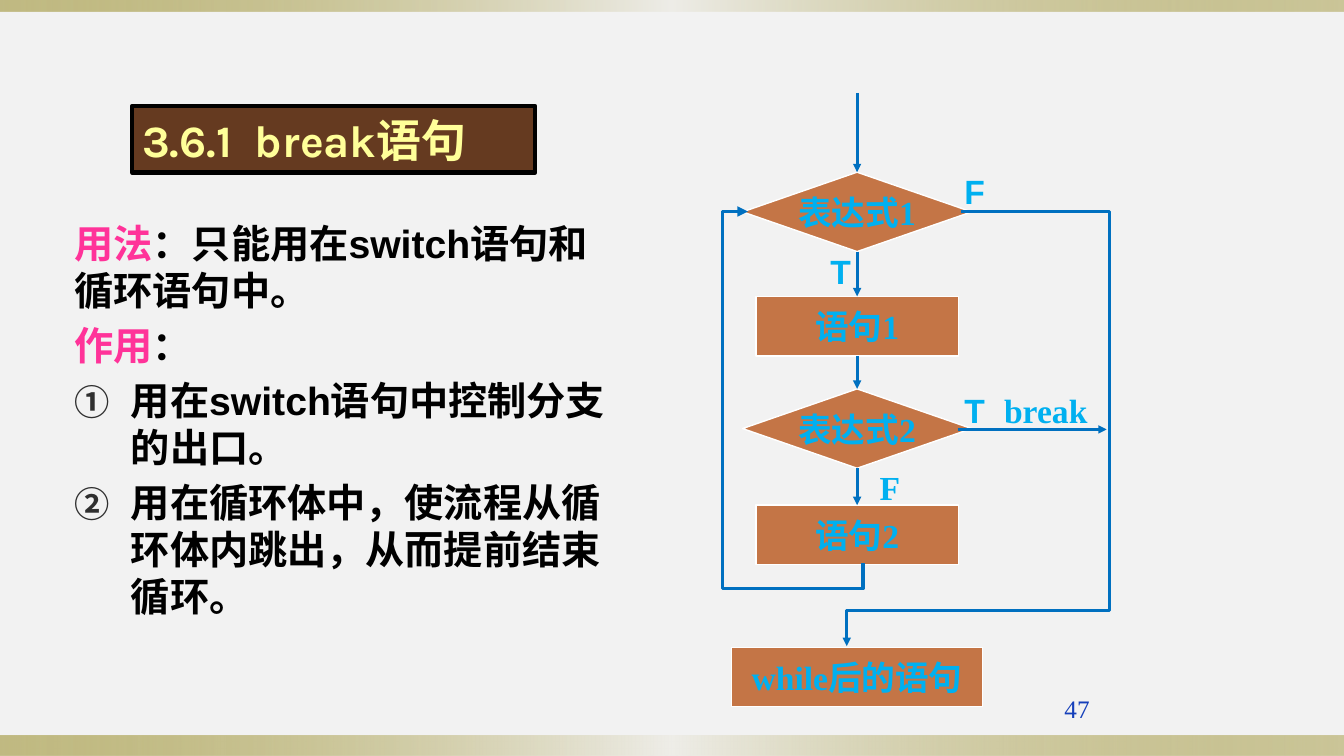
from dataclasses import dataclass
from itertools import pairwise

from lxml import etree
from pptx import Presentation
from pptx.dml.color import RGBColor
from pptx.enum.shapes import MSO_CONNECTOR, MSO_SHAPE
from pptx.enum.text import MSO_ANCHOR, PP_ALIGN
from pptx.oxml.ns import qn
from pptx.shapes.autoshape import Shape
from pptx.shapes.connector import Connector
from pptx.slide import Slide
from pptx.text.text import Font
from pptx.util import Cm, Pt

RECTANGLE = MSO_SHAPE.RECTANGLE
DECISION = MSO_SHAPE.FLOWCHART_DECISION
PROCESS = MSO_SHAPE.FLOWCHART_PROCESS
STRAIGHT, ELBOW = MSO_CONNECTOR.STRAIGHT, MSO_CONNECTOR.ELBOW
MIDDLE = MSO_ANCHOR.MIDDLE
CENTER, LEFT, RIGHT = PP_ALIGN.CENTER, PP_ALIGN.LEFT, PP_ALIGN.RIGHT


@dataclass(frozen=True)
class Theme:
    background: str = "F2F2F2"
    bar_edge: str = "918415"
    bar_middle: str = "EEEDE8"
    title_fill: str = "653A20"
    title_text: str = "FFFF99"
    black: str = "000000"
    keyword: str = "FF3399"
    bullet: str = "2F2F2F"
    node_fill: str = "C47546"
    node_line: str = "FFFFFF"
    node_text: str = "00B0F0"
    flow: str = "0070C0"
    page: str = "153FBA"
    title_font: str = "Karla"
    sans: str = "Arial"
    serif: str = "Times New Roman"
    title_size: int = 32
    body_size: int = 28
    flow_size: int = 24
    page_size: int = 18


THEME = Theme()
SLIDE_WIDTH, SLIDE_HEIGHT = 33.87, 19.05
AXIS = 21.6
ENTRY_TOP = 2.34
INDENT = 1.42


@dataclass(frozen=True)
class Box:
    left: float
    top: float
    width: float
    height: float


@dataclass(frozen=True)
class Node:
    text: str
    kind: MSO_SHAPE
    top: float
    width: float
    height: float


@dataclass(frozen=True)
class Label:
    text: str
    left: float
    top: float
    width: float = 1.47
    font: str = THEME.sans


@dataclass(frozen=True)
class Route:
    box: Box
    rotation: int
    flipped: bool
    bends: tuple[int, int]
    weight: float


@dataclass(frozen=True)
class Note:
    keyword: str
    text: str
    numbered: bool = False


NODES = (
    Node("表达式1", DECISION, 4.34, 5.77, 2),
    Node("语句1", PROCESS, 7.47, 5.1, 1.5),
    Node("表达式2", DECISION, 9.8, 5.77, 2),
    Node("语句2", PROCESS, 12.73, 5.1, 1.5),
    Node("while后的语句", PROCESS, 16.31, 6.32, 1.5),
)
LABELS = (
    Label("T", 20.45, 6.2),
    Label("F", 23.83, 4.19),
    Label("T", 23.83, 9.7),
    Label("F", 21.69, 11.63, font=THEME.serif),
    Label("break", 24.92, 9.7, 2.87, THEME.serif),
)
ROUTES = (
    Route(Box(17.3, 9.37, 10.95, 2.87), 270, False, (8200, 230900), 2),
    Route(Box(18.85, 5.33, 2.9, 8.86), 180, True, (-22000, 107200), 2.5),
)
NOTES = (
    Note("用法", "：只能用在switch语句和循环语句中。"),
    Note("作用", "："),
    Note("", "用在switch语句中控制分支的出口。", True),
    Note("", "用在循环体中，使流程从循环体内跳出，从而提前结束循环。", True),
)


def add_xml(parent: etree._Element, tag: str, **attributes: str) -> etree._Element:
    return etree.SubElement(parent, qn(tag), attributes)


def style_font(font: Font, name: str, size: int, color: str, bold: bool = True) -> None:
    font.name, font.size, font.bold = name, Pt(size), bold
    font.color.rgb = RGBColor.from_string(color)


def add_box(slide: Slide, kind: MSO_SHAPE, box: Box, fill: str, line: str, weight: float) -> Shape:
    shape = slide.shapes.add_shape(kind, Cm(box.left), Cm(box.top), Cm(box.width), Cm(box.height))
    shape.shadow.inherit = False
    shape.fill.solid()
    shape.fill.fore_color.rgb = RGBColor.from_string(fill)
    shape.line.color.rgb = RGBColor.from_string(line)
    shape.line.width = Pt(weight)
    shape.text_frame.vertical_anchor = MIDDLE
    return shape


def write(shape: Shape, text: str, align: PP_ALIGN, font: str, size: int, color: str, bold: bool = True) -> None:
    paragraph = shape.text_frame.paragraphs[0]
    paragraph.text, paragraph.alignment = text, align
    style_font(paragraph.font, font, size, color, bold)


def add_text_box(slide: Slide, box: Box) -> Shape:
    text_box = slide.shapes.add_textbox(Cm(box.left), Cm(box.top), Cm(box.width), Cm(box.height))
    text_box.text_frame.word_wrap = True
    return text_box


def add_bar(slide: Slide, top: float, height: float) -> None:
    bar = add_box(slide, RECTANGLE, Box(0, top, SLIDE_WIDTH, height), THEME.bar_edge, THEME.bar_edge, 1)
    bar.line.fill.background()
    bar.fill.gradient()
    bar.fill.gradient_angle = 0
    stops = bar._element.spPr.find(qn("a:gradFill")).find(qn("a:gsLst"))
    for stop in list(stops):
        stops.remove(stop)
    for place, color, alpha in ((0, THEME.bar_edge, 50), (50, THEME.bar_middle, 100), (100, THEME.bar_edge, 40)):
        stop = add_xml(stops, "a:gs", pos=str(place * 1000))
        add_xml(add_xml(stop, "a:srgbClr", val=color), "a:alpha", val=str(alpha * 1000))


def add_flow(slide: Slide, kind: MSO_CONNECTOR, start: tuple[float, float], end: tuple[float, float],
             weight: float, arrow_end: str) -> Connector:
    flow = slide.shapes.add_connector(kind, *map(Cm, start + end))
    flow.line.color.rgb = RGBColor.from_string(THEME.flow)
    flow.line.width = Pt(weight)
    add_xml(flow.line._get_or_add_ln(), arrow_end, type="triangle")
    add_xml(flow._element.spPr, "a:effectLst")
    return flow


def add_arrow(slide: Slide, start: tuple[float, float], end: tuple[float, float]) -> None:
    add_flow(slide, STRAIGHT, start, end, 2, "a:tailEnd")


def add_route(slide: Slide, route: Route) -> None:
    box = route.box
    end = (box.left + box.width, box.top + box.height)
    flow = add_flow(slide, ELBOW, (box.left, box.top), end, route.weight, "a:headEnd")
    frame = flow._element.spPr.find(qn("a:xfrm"))
    frame.set("rot", str(route.rotation * 60000))
    if route.flipped:
        frame.set("flipH", "1")
        frame.set("flipV", "1")
    geometry = flow._element.spPr.find(qn("a:prstGeom"))
    geometry.set("prst", "bentConnector4")
    guides = geometry.find(qn("a:avLst"))
    for number, bend in enumerate(route.bends, 1):
        add_xml(guides, "a:gd", name=f"adj{number}", fmla=f"val {bend}")


def add_node(slide: Slide, node: Node) -> None:
    box = Box(AXIS - node.width / 2, node.top, node.width, node.height)
    shape = add_box(slide, node.kind, box, THEME.node_fill, THEME.node_line, 1)
    frame = shape.text_frame
    frame.word_wrap = False
    if node.kind == DECISION:
        frame.margin_left = frame.margin_right = frame.margin_top = frame.margin_bottom = 0
    write(shape, node.text, CENTER, THEME.serif, THEME.flow_size, THEME.node_text)


def add_label(slide: Slide, label: Label) -> None:
    shape = add_text_box(slide, Box(label.left, label.top, label.width, 1.27))
    shape.text_frame.margin_left = shape.text_frame.margin_right = 0
    write(shape, label.text, CENTER, label.font, THEME.flow_size, THEME.node_text)


def add_notes_text(slide: Slide) -> None:
    frame = add_text_box(slide, Box(1.63, 5.41, 13.97, 11.71)).text_frame
    for index, note in enumerate(NOTES):
        paragraph = frame.add_paragraph() if index else frame.paragraphs[0]
        if note.numbered:
            properties = paragraph._p.get_or_add_pPr()
            properties.set("marL", str(Cm(INDENT)))
            properties.set("indent", str(-Cm(INDENT)))
            add_xml(add_xml(properties, "a:buClr"), "a:srgbClr", val=THEME.bullet)
            add_xml(properties, "a:buSzPct", val="90000")
            add_xml(properties, "a:buAutoNum", type="circleNumDbPlain")
        paragraph.space_before = Pt(5.6)
        style_font(paragraph.font, THEME.sans, THEME.body_size, THEME.black)
        if note.keyword:
            keyword = paragraph.add_run()
            keyword.text = note.keyword
            keyword.font.color.rgb = RGBColor.from_string(THEME.keyword)
        paragraph.add_run().text = note.text


def main() -> None:
    deck = Presentation()
    deck.slide_width, deck.slide_height = Cm(SLIDE_WIDTH), Cm(SLIDE_HEIGHT)
    slide = deck.slides.add_slide(deck.slide_layouts[6])
    slide.background.fill.solid()
    slide.background.fill.fore_color.rgb = RGBColor.from_string(THEME.background)
    add_bar(slide, 18.54, 0.51)
    add_bar(slide, 0, 0.3)
    title = add_box(slide, RECTANGLE, Box(3.33, 2.67, 10.16, 1.68), THEME.title_fill, THEME.black, 3)
    write(title, "3.6.1  break语句", LEFT, THEME.title_font, THEME.title_size, THEME.title_text)
    add_notes_text(slide)
    page = add_text_box(slide, Box(23.93, 17.35, 3.78, 1.27))
    write(page, "47", RIGHT, THEME.serif, THEME.page_size, THEME.page, False)
    for node in NODES:
        add_node(slide, node)
    add_arrow(slide, (AXIS, ENTRY_TOP), (AXIS, NODES[0].top))
    for upper, lower in pairwise(NODES[:4]):
        add_arrow(slide, (AXIS, upper.top + upper.height), (AXIS, lower.top))
    add_arrow(slide, (24.13, 10.82), (27.89, 10.82))
    for route in ROUTES:
        add_route(slide, route)
    for label in LABELS:
        add_label(slide, label)
    deck.save("out.pptx")


if __name__ == "__main__":
    main()
